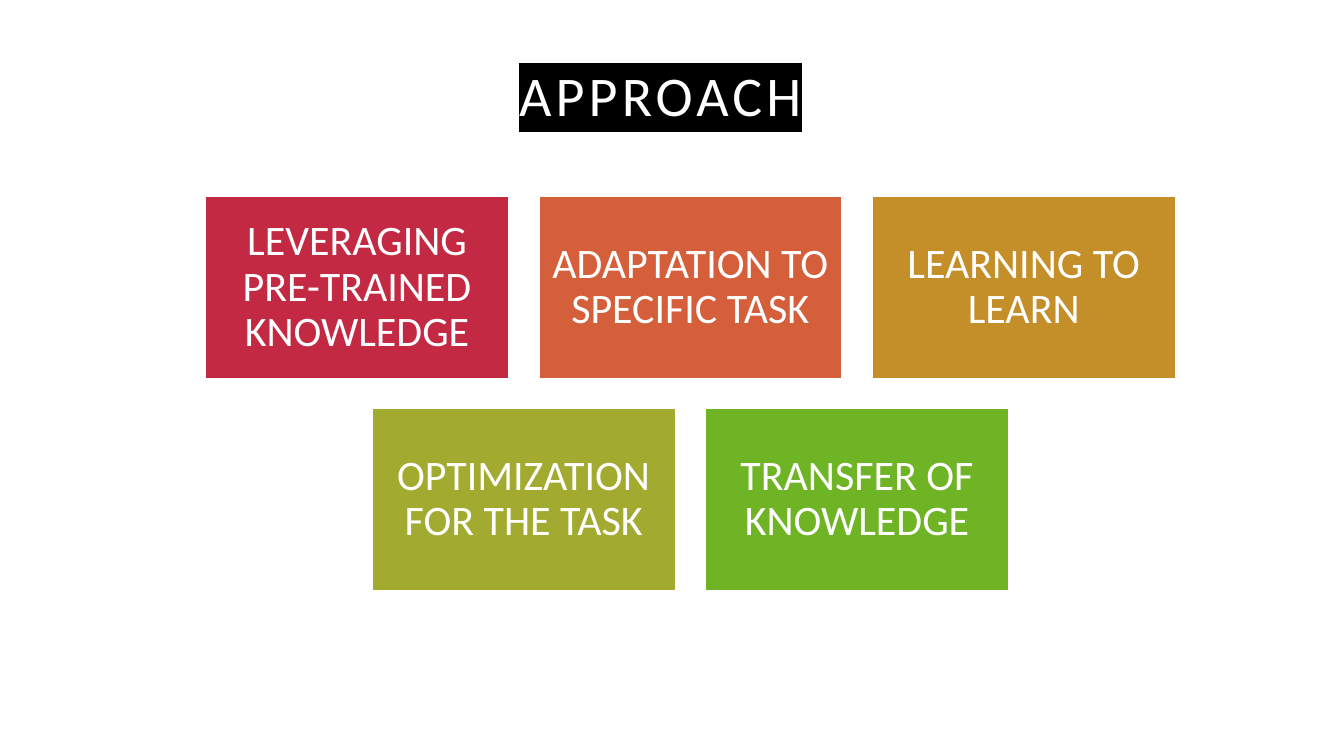
"""Build the Approach slide: a title above two centred rows of coloured cards."""
from dataclasses import dataclass

from lxml.etree import SubElement
from pptx import Presentation
from pptx.dml.color import RGBColor as Rgb
from pptx.enum.shapes import MSO_SHAPE as Shape
from pptx.enum.text import MSO_ANCHOR as Anchor, MSO_AUTO_SIZE as AutoSize, PP_ALIGN as Align
from pptx.oxml.ns import qn
from pptx.slide import Slide
from pptx.text.text import _Paragraph as Paragraph, _Run as Run
from pptx.util import Cm, Pt


@dataclass(frozen=True)
class Theme:
    font: str = "Calibri"
    light: str = "FFFFFF"
    highlight: str = "000000"
    title_size: int = 40
    card_size: int = 30
    title_tracking: int = 3


@dataclass(frozen=True)
class Card:
    label: str
    color: str


THEME = Theme()
CARD_WIDTH, CARD_HEIGHT, GAP = 7.64, 4.58, 0.76
ROWS_CENTER, ROWS_TOP = 17.4, 4.96
CARD_INSET = Cm(0.3)
CARD_ROWS = [
    [
        Card("LEVERAGING PRE-TRAINED KNOWLEDGE", "C42944"),
        Card("ADAPTATION TO SPECIFIC TASK", "D55F3A"),
        Card("LEARNING TO LEARN", "C48E29"),
    ],
    [
        Card("OPTIMIZATION FOR THE TASK", "A2AB2F"),
        Card("TRANSFER OF KNOWLEDGE", "6EB425"),
    ],
]


def add_words(paragraph: Paragraph, words: str, size: int) -> Run:
    """Add one run in the theme's font and light colour."""
    run = paragraph.add_run()
    run.text = words
    run.font.size = Pt(size)
    run.font.color.rgb = Rgb.from_string(THEME.light)
    run.font.name = THEME.font
    return run


def add_title(slide: Slide, words: str) -> None:
    """Place the title with wide tracking and a dark highlight."""
    title = slide.shapes.title
    title.left, title.top, title.width, title.height = Cm(12.83), Cm(0.86), Cm(23.32), Cm(2.49)
    frame = title.text_frame
    frame.vertical_anchor = Anchor.BOTTOM
    frame.auto_size = AutoSize.NONE
    heading = frame.paragraphs[0]
    heading.alignment = Align.LEFT
    heading.line_spacing = 1.2
    heading.space_before = Pt(0)
    properties = add_words(heading, words, THEME.title_size).font._element
    properties.set("spc", str(THEME.title_tracking * 100))
    highlight = SubElement(properties, qn("a:highlight"))
    SubElement(highlight, qn("a:srgbClr"), val=THEME.highlight)
    properties.find(qn("a:solidFill")).addnext(highlight)


def add_card(slide: Slide, card: Card, left: float, top: float) -> None:
    """Draw one filled rectangle with its centred label."""
    box = slide.shapes.add_shape(
        Shape.RECTANGLE, Cm(left), Cm(top), Cm(CARD_WIDTH), Cm(CARD_HEIGHT)
    )
    box.shadow.inherit = False
    box.fill.solid()
    box.fill.fore_color.rgb = Rgb.from_string(card.color)
    box.line.color.rgb = Rgb.from_string(THEME.light)
    box.line.width = Pt(1)
    frame = box.text_frame
    frame.word_wrap = True
    frame.vertical_anchor = Anchor.MIDDLE
    frame.margin_left = frame.margin_right = CARD_INSET
    frame.margin_top = frame.margin_bottom = CARD_INSET
    label = frame.paragraphs[0]
    label.alignment = Align.CENTER
    label.line_spacing = 0.9
    add_words(label, card.label, THEME.card_size)


def add_card_rows(slide: Slide, rows: list[list[Card]]) -> None:
    """Centre every row of cards on a common axis."""
    for row_index, row in enumerate(rows):
        row_width = len(row) * (CARD_WIDTH + GAP) - GAP
        top = ROWS_TOP + row_index * (CARD_HEIGHT + GAP)
        for column, card in enumerate(row):
            left = ROWS_CENTER - row_width / 2 + column * (CARD_WIDTH + GAP)
            add_card(slide, card, left, top)


def main() -> None:
    """Create and save the presentation."""
    deck = Presentation()
    deck.slide_width, deck.slide_height = Cm(33.87), Cm(19.05)
    title_only = deck.slide_layouts[5]
    slide = deck.slides.add_slide(title_only)
    add_title(slide, "APPROACH")
    add_card_rows(slide, CARD_ROWS)
    deck.save("out.pptx")


if __name__ == "__main__":
    main()
